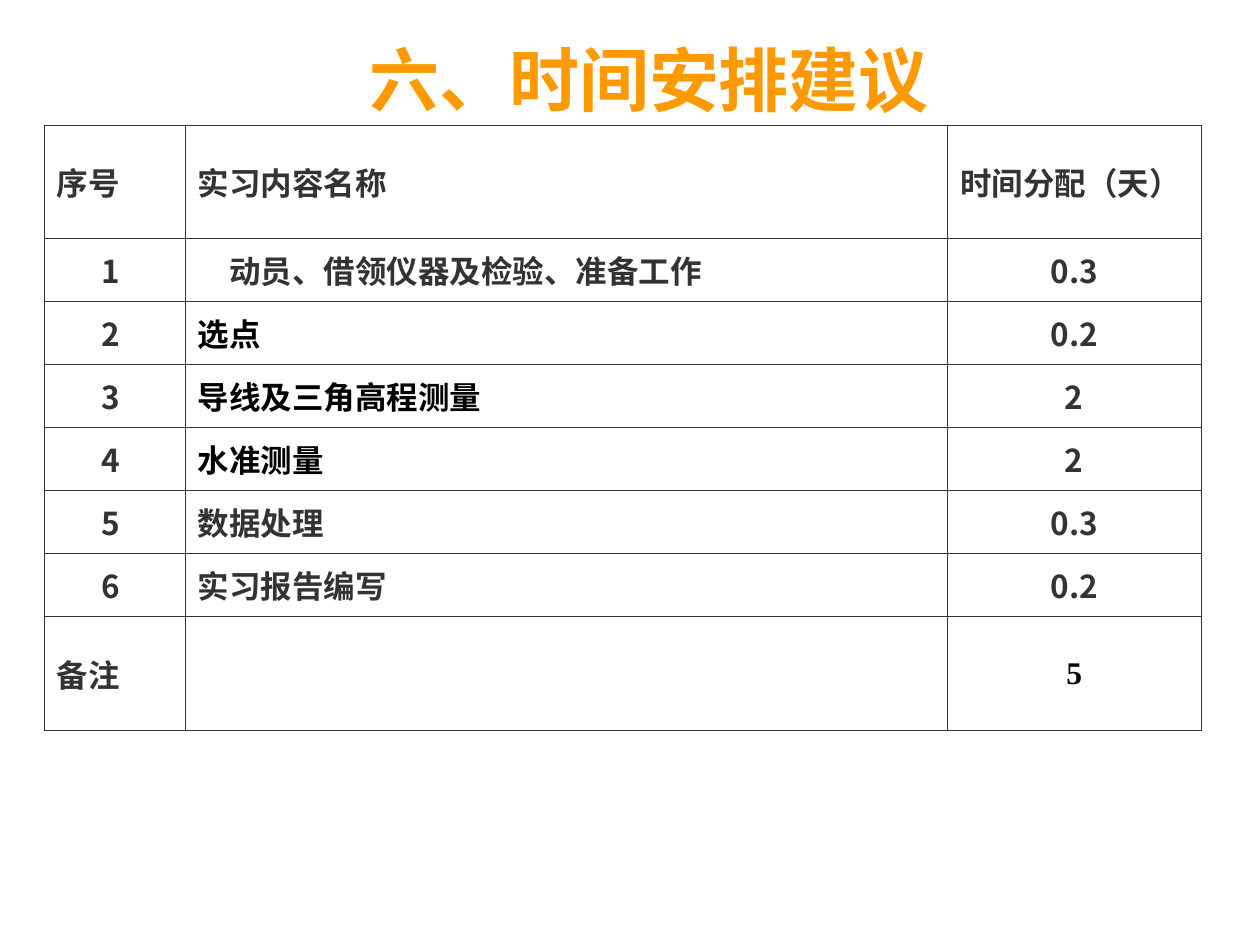
from lxml.etree import SubElement
from pptx import Presentation
from pptx.dml.color import RGBColor
from pptx.enum.text import MSO_ANCHOR, PP_ALIGN
from pptx.oxml.ns import qn
from pptx.util import Cm, Pt

COLORS = {"title": "FF9900", "text": "333333", "accent": "000000", "border": "333333"}
SANS = "Noto Sans CJK SC"
SERIF = "Times New Roman"
HANGING = Cm(0.97)
HEADERS = ["序号", "实习内容名称", "时间分配（天）"]
TASKS = [
    ("　动员、借领仪器及检验、准备工作", "0.3"),
    ("选点", "0.2"),
    ("导线及三角高程测量", "2"),
    ("水准测量", "2"),
    ("数据处理", "0.3"),
    ("实习报告编写", "0.2"),
]
ACCENTED = {"选点", "导线及三角高程测量", "水准测量", "5"}


class SlideBuilder:
    def __init__(self, presentation):
        self.slide = presentation.slides.add_slide(presentation.slide_layouts[6])

    def add_run(self, paragraph, text, size, font_name, color):
        run = paragraph.add_run()
        run.text = text
        run.font.size = Pt(size)
        run.font.bold = True
        run.font.color.rgb = RGBColor.from_string(COLORS[color])
        run.font.name = font_name
        SubElement(run.font._element, qn("a:ea"), typeface=SANS)

    def add_title(self, text, left, top, width, height):
        shape = self.slide.shapes.add_textbox(left, top, width, height)
        frame = shape.text_frame
        frame.word_wrap = True
        frame.vertical_anchor = MSO_ANCHOR.MIDDLE
        paragraph = frame.paragraphs[0]
        paragraph.alignment = PP_ALIGN.CENTER
        self.add_run(paragraph, text, 40, SERIF, "title")

    def style_cell(self, cell):
        cell.vertical_anchor = MSO_ANCHOR.MIDDLE
        properties = cell._tc.get_or_add_tcPr()
        for side in ("lnL", "lnR", "lnT", "lnB"):
            line = SubElement(properties, qn(f"a:{side}"), w=str(Pt(0.45)))
            fill = SubElement(line, qn("a:solidFill"))
            SubElement(fill, qn("a:srgbClr"), val=COLORS["border"])
        cell.fill.background()

    def fill_cell(self, cell, text, centered):
        paragraph = cell.text_frame.paragraphs[0]
        paragraph.alignment = PP_ALIGN.CENTER if centered else PP_ALIGN.LEFT
        properties = paragraph._p.get_or_add_pPr()
        properties.set("marL", str(HANGING))
        properties.set("indent", str(-HANGING))
        accented = text in ACCENTED
        self.add_run(paragraph, text, 18, SERIF if accented else SANS,
                     "accent" if accented else "text")

    def add_table(self, rows, left, top, widths, heights):
        frame = self.slide.shapes.add_table(
            len(rows), len(widths), left, top, sum(widths), sum(heights))
        table = frame.table
        table.first_row = False
        table.horz_banding = False
        for column, width in zip(table.columns, widths):
            column.width = width
        for row, height in zip(table.rows, heights):
            row.height = height
        for row_index, texts in enumerate(rows):
            for column_index, text in enumerate(texts):
                cell = table.cell(row_index, column_index)
                self.style_cell(cell)
                if text:
                    is_number = text.strip()[0].isdigit()
                    self.fill_cell(cell, text, is_number)


def main():
    presentation = Presentation()
    presentation.slide_width = Cm(25.4)
    presentation.slide_height = Cm(19.05)
    builder = SlideBuilder(presentation)
    builder.add_title("六、时间安排建议", Cm(2.29), Cm(0), Cm(21.59), Cm(3.18))
    tasks = [(f"{number} ", name, days) for number, (name, days) in enumerate(TASKS, 1)]
    rows = [HEADERS, *tasks, ("备注", "", "5")]
    widths = [Cm(2.84), Cm(15.37), Cm(5.11)]
    heights = [Cm(2.29), *[Cm(1.27)] * len(tasks), Cm(2.29)]
    builder.add_table(rows, Cm(0.89), Cm(2.52), widths, heights)
    presentation.save("out.pptx")


if __name__ == "__main__":
    main()
